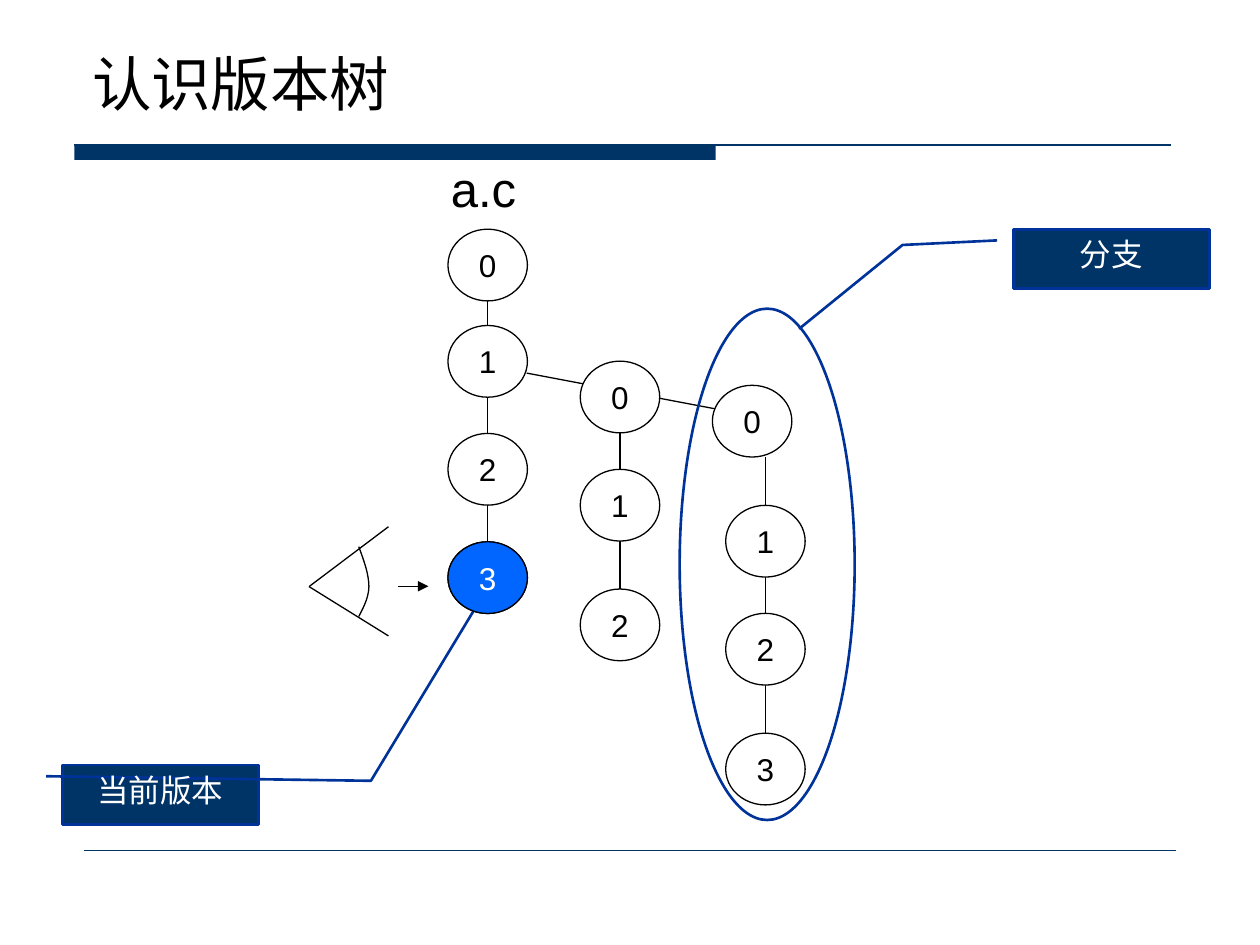
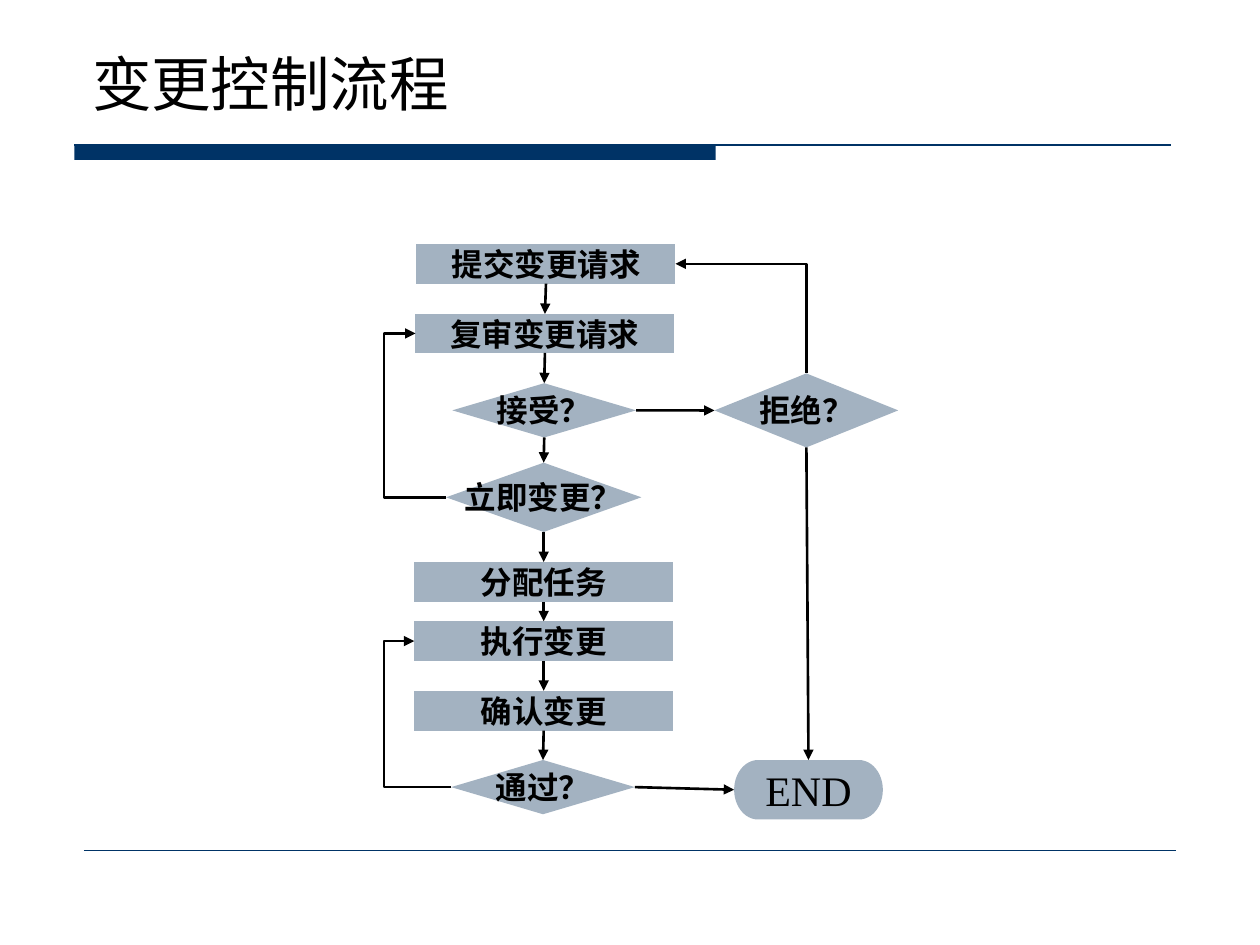
from dataclasses import dataclass

from lxml import etree
from pptx import Presentation
from pptx.dml.color import RGBColor
from pptx.enum.lang import MSO_LANGUAGE_ID
from pptx.enum.shapes import MSO_CONNECTOR, MSO_SHAPE
from pptx.enum.text import MSO_ANCHOR, MSO_AUTO_SIZE, PP_ALIGN
from pptx.oxml.ns import qn
from pptx.util import Pt

STRAIGHT, ELBOW = MSO_CONNECTOR.STRAIGHT, MSO_CONNECTOR.ELBOW
ELLIPSE, RECTANGLE = MSO_SHAPE.OVAL, MSO_SHAPE.RECTANGLE
CALLOUT = MSO_SHAPE.LINE_CALLOUT_2
PROCESS = MSO_SHAPE.FLOWCHART_PROCESS
DECISION = MSO_SHAPE.FLOWCHART_DECISION
TERMINATOR = MSO_SHAPE.FLOWCHART_TERMINATOR
LEFT, CENTER = PP_ALIGN.LEFT, PP_ALIGN.CENTER
TOP, MIDDLE, BOTTOM = MSO_ANCHOR.TOP, MSO_ANCHOR.MIDDLE, MSO_ANCHOR.BOTTOM
CHINESE = MSO_LANGUAGE_ID.SIMPLIFIED_CHINESE

COLORS = {
    "navy": "003366",
    "outline": "003399",
    "current": "0066FF",
    "step": "A3B2C1",
    "black": "000000",
    "white": "FFFFFF",
}
TITLE_FONT, TREE_FONT, FLOW_FONT = "DejaVu Sans", "Arial", "Times New Roman"
NODE_W, NODE_H = 45.4, 41
TITLE_ONLY = 5
# Connection sites of the flow chart shapes
SITE_TOP, SITE_LEFT, SITE_BOTTOM, SITE_RIGHT = range(4)


@dataclass
class Branch:
    left: float
    tops: tuple[float, ...]
    root_shift: float = 0


@dataclass
class Callout:
    text: str
    left: float
    top: float
    leader: tuple[float, ...]


@dataclass
class Step:
    text: str
    kind: MSO_SHAPE
    center: float
    top: float
    width: float
    height: float
    size: float = 18
    bold: bool = True


@dataclass
class Flow:
    source: str
    source_site: int
    target: str
    target_site: int


BRANCHES = (
    Branch(256, (131, 186, 247.7, 309.6)),
    Branch(331.6, (206.4, 268.2, 336.6)),
    Branch(414.7, (220.2, 288.8, 350.5, 419), root_shift=-7.6),
)
BRANCH_LINKS = (301, 213.2, 445, 240.5)

BRANCH_CALLOUT = Callout("分支", 579, 131, (0.188, -0.083, 0.265, -0.565, 1.676, -1.093))
CURRENT_CALLOUT = Callout("当前版本", 35.7, 437.2, (0.188, -0.083, 0.265, 1.574, -2.665, 2.111))

STEPS = (
    Step("提交变更请求", PROCESS, 312, 139.5, 148, 22.6),
    Step("复审变更请求", PROCESS, 311.4, 179.4, 148, 22.3),
    Step("接受？", DECISION, 311, 219, 105, 31),
    Step("立即变更？", DECISION, 310.7, 264.4, 111.6, 39.6),
    Step("分配任务", PROCESS, 310.7, 321.2, 148, 22.7),
    Step("执行变更", PROCESS, 310.7, 355, 148, 22.7),
    Step("确认变更", PROCESS, 310.7, 394.8, 148, 22.7),
    Step("通过？", DECISION, 310.3, 434.3, 105, 31),
    Step("拒绝？", DECISION, 460.8, 213.4, 105, 42.3),
    Step("END", TERMINATOR, 462, 434.3, 85, 34, size=24, bold=False),
)
MAIN_STEPS = STEPS[:8]
SIDE_FLOWS = (
    Flow("接受？", SITE_RIGHT, "拒绝？", SITE_LEFT),
    Flow("拒绝？", SITE_BOTTOM, "END", SITE_TOP),
    Flow("通过？", SITE_RIGHT, "END", SITE_LEFT),
)
RETURN_FLOWS = (
    Flow("立即变更？", SITE_LEFT, "复审变更请求", SITE_LEFT),
    Flow("通过？", SITE_LEFT, "执行变更", SITE_LEFT),
)
RETURN_LANE = 219.4


def rgb(name: str) -> RGBColor:
    return RGBColor.from_string(COLORS[name])


def write(frame, text: str, *, size: float, font: str, color: str = "black",
          bold: bool = False, align=CENTER, anchor=MIDDLE, wrap: bool = False) -> None:
    frame.auto_size = MSO_AUTO_SIZE.NONE
    frame.word_wrap = wrap
    frame.vertical_anchor = anchor
    paragraph = frame.paragraphs[0]
    paragraph.alignment = align
    run = paragraph.add_run()
    run.text = text
    run.font.size = Pt(size)
    run.font.name = font
    run.font.bold = bold
    run.font.color.rgb = rgb(color)
    run.font.language_id = CHINESE


def style(shape, fill: str | None, line: str | None, weight: float = 0.75) -> None:
    """Set fill and outline, with None for neither, and drop the shadow."""
    shape.shadow.inherit = False
    if fill:
        shape.fill.solid()
        shape.fill.fore_color.rgb = rgb(fill)
    else:
        shape.fill.background()
    if line:
        shape.line.color.rgb = rgb(line)
        shape.line.width = Pt(weight)
    else:
        shape.line.fill.background()


def add_shape(slide, kind, left: float, top: float, width: float, height: float,
              fill: str | None, line: str | None, weight: float = 0.75):
    shape = slide.shapes.add_shape(kind, Pt(left), Pt(top), Pt(width), Pt(height))
    style(shape, fill, line, weight)
    return shape


def add_line(slide, x1: float, y1: float, x2: float, y2: float, *, kind=STRAIGHT,
             color: str = "black", weight: float = 0.75, arrow: str | None = None):
    """Draw a connector; arrow is "headEnd", "tailEnd" or None."""
    line = slide.shapes.add_connector(kind, Pt(x1), Pt(y1), Pt(x2), Pt(y2))
    line.line.color.rgb = rgb(color)
    line.line.width = Pt(weight)
    properties = line._element.spPr
    if arrow:
        etree.SubElement(properties.find(qn("a:ln")), qn(f"a:{arrow}"), type="triangle")
    etree.SubElement(properties, qn("a:effectLst"))
    return line


def add_titled_slide(deck, title: str):
    slide = deck.slides.add_slide(deck.slide_layouts[TITLE_ONLY])
    heading = slide.shapes.title
    heading.left, heading.top, heading.width, heading.height = map(Pt, (45.4, 20, 630, 51.3))
    write(heading.text_frame, title, size=34, font=TITLE_FONT,
          align=LEFT, anchor=BOTTOM, wrap=True)
    add_shape(slide, RECTANGLE, 42.5, 82.8, 366.5, 8.64, "navy", None)
    add_line(slide, 42.5, 82.8, 669, 82.8, color="navy")
    add_line(slide, 48, 486, 672, 486, color="navy", weight=0.25)
    return slide


def add_node(slide, label: int, left: float, top: float,
             fill: str = "white", color: str = "black") -> None:
    node = add_shape(slide, ELLIPSE, left, top, NODE_W, NODE_H, fill, "black")
    write(node.text_frame, str(label), size=18, font=TREE_FONT, color=color)


def add_callout(slide, callout: Callout) -> None:
    box = add_shape(slide, CALLOUT, callout.left, callout.top, 112, 34, "navy", "outline", 1.5)
    for index, value in enumerate(callout.leader):
        box.adjustments[index] = value
    write(box.text_frame, callout.text, size=18, font=TREE_FONT, color="white",
          anchor=TOP, wrap=True)


def curve(p0, p1, p2, p3, parts: int = 8) -> list[tuple[int, int]]:
    """Sample a cubic Bezier curve, leaving out its start."""
    points = []
    for part in range(1, parts + 1):
        t = part / parts
        weights = ((1 - t) ** 3, 3 * t * (1 - t) ** 2, 3 * t * t * (1 - t), t ** 3)
        points.append(tuple(
            Pt(sum(w * p[axis] for w, p in zip(weights, (p0, p1, p2, p3))))
            for axis in (0, 1)))
    return points


def add_eye(slide) -> None:
    corner = (176.6, 335.2)
    for lid_end in ((222, 301), (222, 363.4)):
        add_line(slide, *corner, *lid_end)
    top, front, bottom = (205, 312.4), (210.8, 335.2), (205, 352.3)
    iris = slide.shapes.build_freeform(Pt(top[0]), Pt(top[1]))
    iris.add_line_segments(
        curve(top, (208, 320.4), (210.8, 328.3), front)
        + curve(front, (210.8, 342), (206.6, 349.2), bottom), close=False)
    style(iris.convert_to_shape(), None, "black")
    add_line(slide, 227.5, 335, 244.8, 335, arrow="tailEnd")


def build_version_tree(deck) -> None:
    slide = add_titled_slide(deck, "认识版本树")
    file_name = slide.shapes.add_textbox(Pt(250.6), Pt(87.1), Pt(52), Pt(41))
    write(file_name.text_frame, "a.c", size=28, font=TREE_FONT, align=LEFT, anchor=TOP)

    add_line(slide, *BRANCH_LINKS)
    for branch in BRANCHES:
        middle = branch.left + NODE_W / 2
        add_line(slide, middle, branch.tops[0] + NODE_H, middle, branch.tops[-1])
    for branch in BRANCHES:
        for version, top in enumerate(branch.tops):
            shift = 0 if version else branch.root_shift
            add_node(slide, version, branch.left + shift, top)

    add_shape(slide, ELLIPSE, 388.4, 176.4, 100, 292.2, None, "outline", 1.5)
    add_callout(slide, BRANCH_CALLOUT)
    add_eye(slide)
    add_callout(slide, CURRENT_CALLOUT)
    trunk = BRANCHES[0]
    add_node(slide, len(trunk.tops) - 1, trunk.left, trunk.tops[-1], "current", "white")


def connect(slide, boxes: dict, flow: Flow, *, kind=STRAIGHT, arrow: str = "tailEnd"):
    line = add_line(slide, 0, 0, 0, 0, kind=kind, weight=1.5, arrow=arrow)
    line.begin_connect(boxes[flow.source], flow.source_site)
    line.end_connect(boxes[flow.target], flow.target_site)
    return line


def add_return(slide, boxes: dict, flow: Flow) -> None:
    """Lead an elbow arrow back up through the lane left of the steps."""
    line = connect(slide, boxes, flow, kind=ELBOW)
    bend = (line.begin_x - Pt(RETURN_LANE)) / (line.begin_x - line.end_x)
    properties = line._element.spPr
    frame = properties.find(qn("a:xfrm"))
    for flip in ("flipH", "flipV"):
        frame.attrib.pop(flip, None)
    frame.set("rot", "10800000")
    guides = properties.find(qn("a:prstGeom")).get_or_add_avLst()
    etree.SubElement(guides, qn("a:gd"), name="adj1", fmla=f"val {round(bend * 100000)}")


def build_change_flow(deck) -> None:
    slide = add_titled_slide(deck, "变更控制流程")
    boxes = {}
    for step in STEPS:
        box = add_shape(slide, step.kind, step.center - step.width / 2, step.top,
                        step.width, step.height, "step", None)
        write(box.text_frame, step.text, size=step.size, font=FLOW_FONT, bold=step.bold)
        boxes[step.text] = box

    for upper, lower in zip(MAIN_STEPS, MAIN_STEPS[1:]):
        connect(slide, boxes, Flow(upper.text, SITE_BOTTOM, lower.text, SITE_TOP))
    for flow in SIDE_FLOWS:
        connect(slide, boxes, flow)
    for flow in RETURN_FLOWS:
        add_return(slide, boxes, flow)
    resubmit = connect(slide, boxes, Flow("提交变更请求", SITE_RIGHT, "拒绝？", SITE_TOP),
                       kind=ELBOW, arrow="headEnd")
    resubmit._element.spPr.find(qn("a:prstGeom")).set("prst", "bentConnector2")


def main() -> None:
    deck = Presentation()
    deck.slide_width, deck.slide_height = Pt(720), Pt(540)
    build_version_tree(deck)
    build_change_flow(deck)
    deck.save("out.pptx")


if __name__ == "__main__":
    main()
